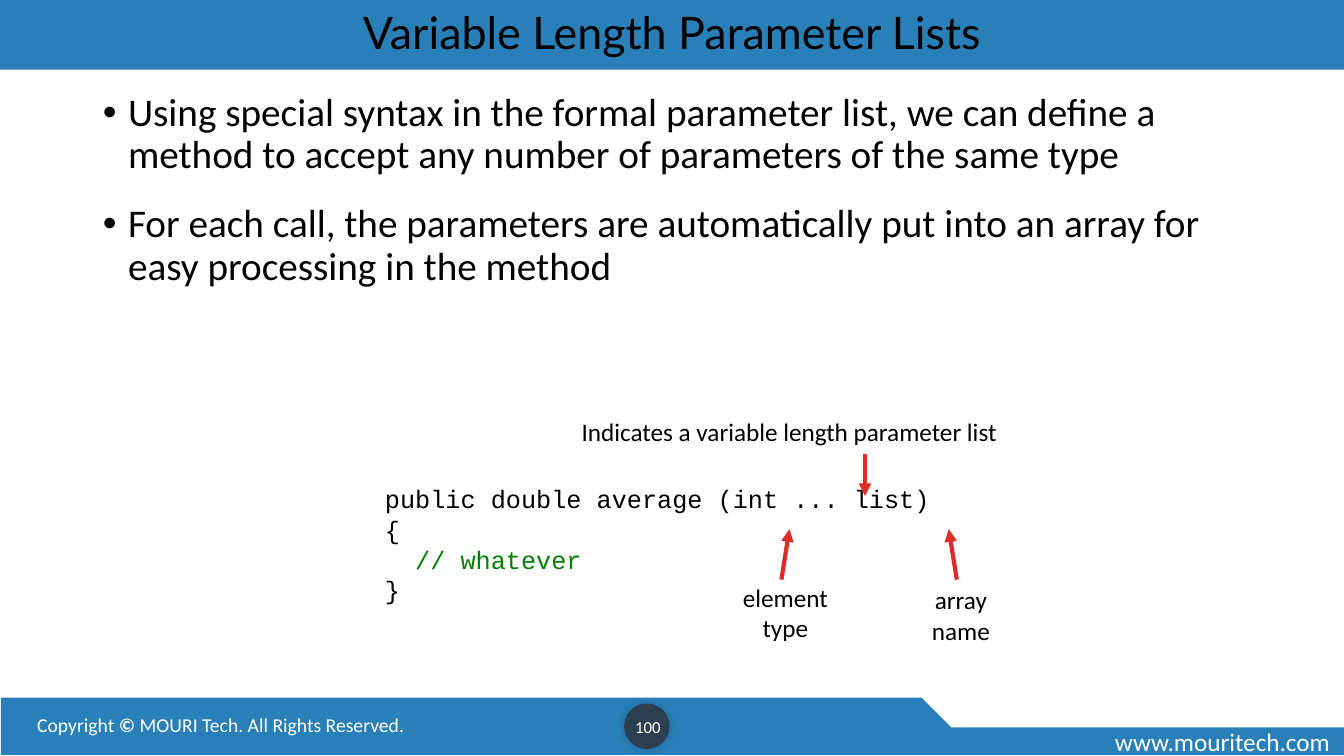
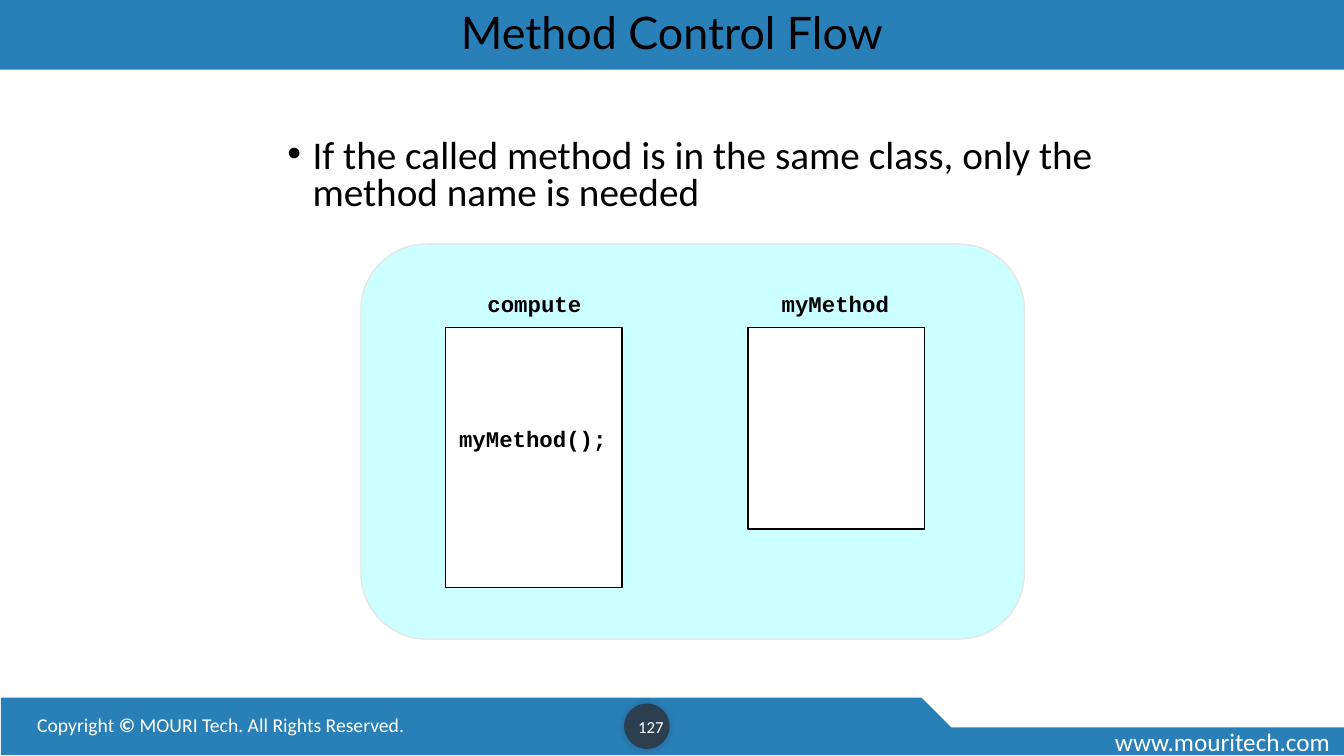
from pptx import Presentation
from pptx.dml.color import RGBColor
from pptx.enum import shapes, text
from pptx.oxml import parse_xml
from pptx.oxml.ns import nsdecls
from pptx.shapes import shapetree
from pptx.util import Inches, Pt

BLUE = RGBColor(0x29, 0x80, 0xB9)
NAVY = RGBColor(0x2C, 0x3F, 0x50)
RED = RGBColor(0xDE, 0x2C, 0x28)
GREEN = RGBColor(0x00, 0x80, 0x00)
CYAN = RGBColor(0xCC, 0xFF, 0xFF)
GRAY = RGBColor(0xE7, 0xE6, 0xE6)
BLACK = RGBColor(0x00, 0x00, 0x00)
WHITE = RGBColor(0xFF, 0xFF, 0xFF)

TITLE = {"name": "Lato", "size": Pt(32), "color": BLACK}
BODY = {"name": "Calibri", "size": Pt(28), "color": BLACK}
LABEL = {"name": "Calibri", "size": Pt(18), "color": BLACK}
CODE = {"name": "Courier New", "size": Pt(18), "color": BLACK}
CODE_LABEL = {**CODE, "size": Pt(16), "bold": True}
WEB = {**LABEL, "color": WHITE}
COPYRIGHT = {**WEB, "size": Pt(14)}
NUMBER = {**WEB, "size": Pt(12)}

SHAPE = shapes.MSO_SHAPE
LEFT, CENTER = text.PP_ALIGN.LEFT, text.PP_ALIGN.CENTER
TOP, MIDDLE = text.MSO_ANCHOR.TOP, text.MSO_ANCHOR.MIDDLE


def inches(values):
    return [Inches(value) for value in values]


def place(shape, box):
    for name, value in zip(("left", "top", "width", "height"), inches(box)):
        setattr(shape, name, value)


def format_font(font, style):
    for name, value in style.items():
        if name == "color":
            font.color.rgb = value
        else:
            setattr(font, name, value)


def add_text(parent, box, lines, style, align=LEFT, anchor=TOP, wrap=False):
    """Each line is a string or a list of (words, style changes) runs."""
    frame = parent.add_textbox(*inches(box)).text_frame
    frame.word_wrap = wrap
    frame.vertical_anchor = anchor
    for index, line in enumerate(lines):
        paragraph = frame.add_paragraph() if index else frame.paragraphs[0]
        paragraph.alignment = align
        runs = [(line, {})] if isinstance(line, str) else line
        for words, changes in runs:
            run = paragraph.add_run()
            run.text = words
            format_font(run.font, {**style, **changes})


def add_box(parent, kind, box, fill, line=None):
    shape = parent.add_shape(kind, *inches(box))
    shape.shadow.inherit = False
    shape.fill.solid()
    shape.fill.fore_color.rgb = fill
    if line is None:
        shape.line.fill.background()
    else:
        shape.line.color.rgb = line
        shape.line.width = Pt(1)
    return shape


def add_arrow(parent, start, end):
    arrow = parent.add_connector(shapes.MSO_CONNECTOR.STRAIGHT, *inches(start + end))
    arrow.line.color.rgb = RED
    arrow.line.width = Pt(3)
    arrow.line._get_or_add_ln().append(
        parse_xml(f'<a:tailEnd {nsdecls("a")} type="triangle"/>'))
    arrow.element.spPr.append(parse_xml(f'<a:effectLst {nsdecls("a")}/>'))


def add_callout(slide, box, lines, start, end, align=CENTER):
    """Group a label with the arrow that points from it."""
    group = slide.shapes.add_group_shape().shapes
    add_text(group, box, lines, LABEL, align)
    add_arrow(group, start, end)


def add_glow(shape):
    shape.element.spPr.find(
        "{http://schemas.openxmlformats.org/drawingml/2006/main}effectLst"
    ).append(parse_xml(
        f'<a:outerShdw {nsdecls("a")} blurRad="{Pt(6)}" dist="0" dir="18900000">'
        '<a:srgbClr val="000000"><a:alpha val="20000"/></a:srgbClr></a:outerShdw>'))


def prepare_layout(layout):
    """Put the title position and the footer on the shared layout."""
    place(layout.placeholders[0], (0, 0, 13.33, 0.69))
    footer = shapetree.GroupShapes(layout.shapes.element, layout)
    add_box(footer, SHAPE.RECTANGLE, (0.01, 6.92, 13.32, 0.57), BLUE)
    notch = add_box(footer, SHAPE.SNIP_2_DIAG_RECTANGLE,
                    (8.92, 6.17, 4.41, 1.04), WHITE, WHITE)
    notch.adjustments[0], notch.adjustments[1] = 0, 0.5
    add_text(footer, (10.96, 7.16, 2.38, 0.4), ["www.mouritech.com"], WEB, wrap=True)
    add_text(footer, (0.27, 7.02, 7.17, 0.34),
             [[("Copyright ", {}), ("© ", {"bold": True}),
               ("MOURI Tech. All Rights Reserved.", {})]], COPYRIGHT, wrap=True)
    add_glow(add_box(footer, SHAPE.OVAL, (6.19, 6.98, 0.45, 0.45), NAVY))


def add_slide(presentation, title, number, number_box):
    slide = presentation.slides.add_slide(presentation.slide_layouts[1])
    heading = slide.shapes.title
    heading.fill.solid()
    heading.fill.fore_color.rgb = BLUE
    frame = heading.text_frame
    frame.text = title
    frame.auto_size = text.MSO_AUTO_SIZE.NONE
    frame.vertical_anchor = MIDDLE
    paragraph = frame.paragraphs[0]
    paragraph.alignment = CENTER
    paragraph.line_spacing = 0.9
    format_font(paragraph.runs[0].font, TITLE)
    add_text(slide.shapes, number_box, [number], NUMBER, CENTER, MIDDLE, wrap=True)
    return slide


def fill_list(slide, box, items, line_spacing):
    body = slide.placeholders[1]
    place(body, box)
    frame = body.text_frame
    frame.auto_size = text.MSO_AUTO_SIZE.NONE
    frame.text = "\n".join(items)
    for index, paragraph in enumerate(frame.paragraphs):
        properties = paragraph._p.get_or_add_pPr()
        properties.set("marL", str(Inches(0.25)))
        properties.set("indent", str(Inches(-0.25)))
        paragraph.line_spacing = line_spacing
        paragraph.space_before = Pt(19 if index else 0)
        properties.append(parse_xml(f'<a:buFont {nsdecls("a")} typeface="Arial"/>'))
        properties.append(parse_xml(f'<a:buChar {nsdecls("a")} char="•"/>'))
        format_font(paragraph.runs[0].font, BODY)


def build_parameter_lists(presentation):
    slide = add_slide(presentation, "Variable Length Parameter Lists",
                      "100", (6.08, 7.01, 0.69, 0.4))
    fill_list(slide, (0.92, 0.87, 11.5, 5.88), [
        "Using special syntax in the formal parameter list, we can define a "
        "method to accept any number of parameters of the same type",
        "For each call, the parameters are automatically put into an array "
        "for easy processing in the method",
    ], 0.9)
    add_text(slide.shapes, (3.72, 4.75, 5.63, 1.31), [
        "public double average (int ... list)",
        "{",
        [("  ", {}), ("// whatever", {"color": GREEN})],
        "}",
    ], CODE)
    add_callout(slide, (7.26, 5.73, 1.06, 0.71), ["element", "type"],
                (7.75, 5.75), (7.83, 5.25))
    add_callout(slide, (9.14, 5.75, 0.78, 0.71), ["array", "name"],
                (9.49, 5.75), (9.41, 5.25))
    add_callout(slide, (5.67, 4.08, 4.37, 0.4),
                ["Indicates a variable length parameter list"],
                (8.58, 4.5), (8.58, 4.92), LEFT)


def build_control_flow(presentation):
    slide = add_slide(presentation, "Method Control Flow",
                      "127", (6.21, 7.01, 0.49, 0.4))
    fill_list(slide, (2.75, 1.33, 8.75, 0.86), [
        "If the called method is in the same class, only the method name is needed",
    ], 0.8)
    diagram = slide.shapes.add_group_shape().shapes
    add_box(diagram, SHAPE.FLOWCHART_ALTERNATE_PROCESS,
            (3.58, 2.42, 6.58, 3.92), CYAN, GRAY)
    for left, height in ((4.42, 2.58), (7.42, 2)):
        add_box(diagram, SHAPE.RECTANGLE, (left, 3.25, 1.75, height), WHITE, BLACK)
    for label, left, top, width in (("myMethod();", 4.45, 4.17, 1.67),
                                    ("myMethod", 7.65, 2.83, 1.27),
                                    ("compute", 4.73, 2.83, 1.14)):
        add_text(diagram, (left, top, width, 0.37), [label],
                 CODE_LABEL, CENTER, MIDDLE)


def main():
    presentation = Presentation()
    presentation.slide_width = Inches(13.33)
    presentation.slide_height = Inches(7.5)
    prepare_layout(presentation.slide_layouts[1])
    build_parameter_lists(presentation)
    build_control_flow(presentation)
    presentation.save("out.pptx")


if __name__ == "__main__":
    main()
